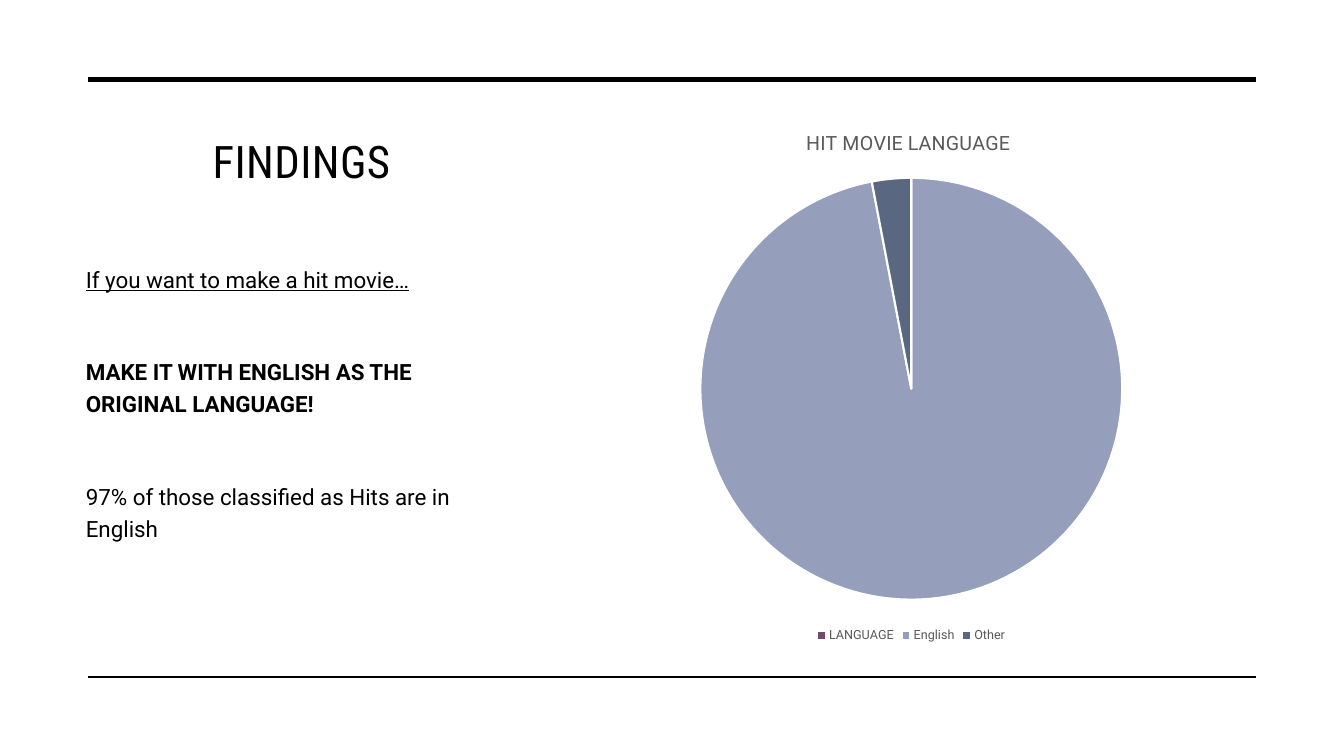
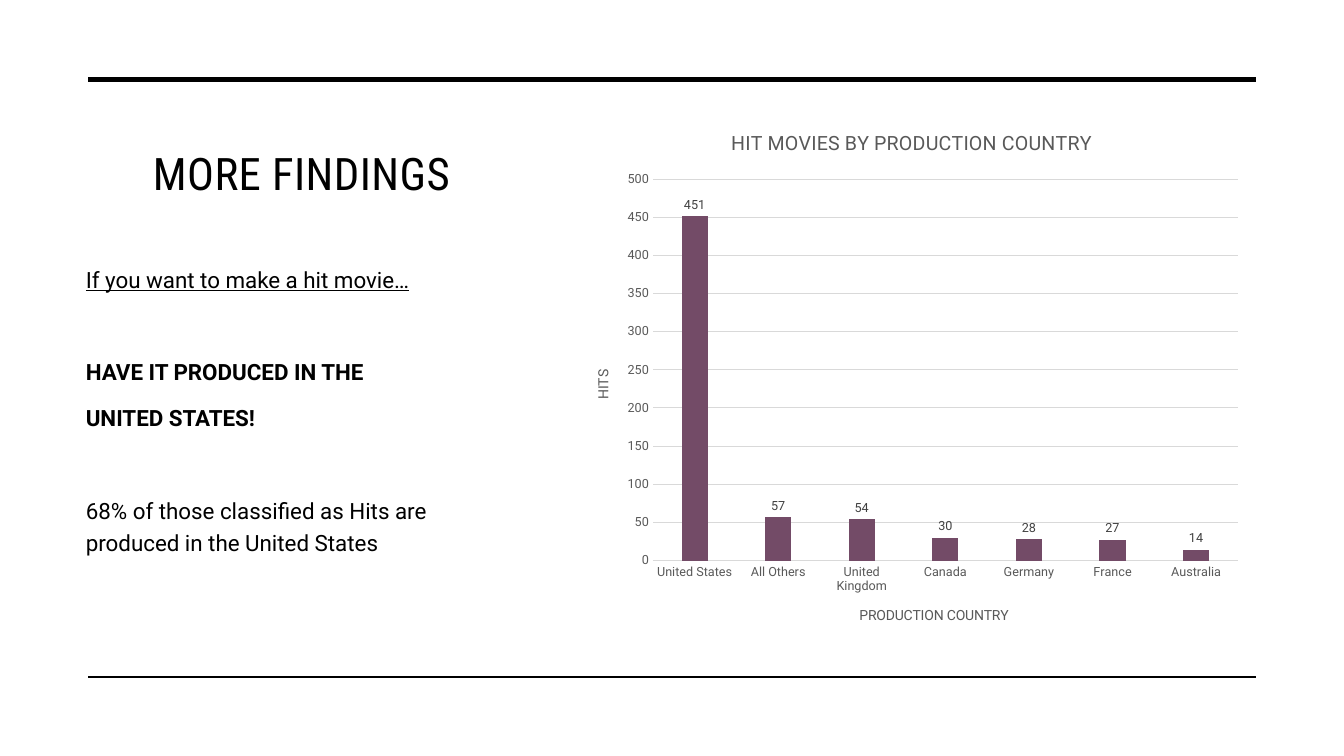
from lxml import etree
from pptx import Presentation
from pptx.chart.data import CategoryChartData
from pptx.dml.color import RGBColor
from pptx.enum.chart import (XL_CHART_TYPE as Chart, XL_LABEL_POSITION as LabelPos,
                             XL_LEGEND_POSITION as LegendPos, XL_TICK_MARK as Tick)
from pptx.enum.shapes import MSO_CONNECTOR as Connector
from pptx.enum.text import MSO_ANCHOR as Anchor, MSO_AUTO_SIZE as AutoSize, PP_ALIGN as Align
from pptx.oxml.ns import qn
from pptx.util import Pt

BLACK = RGBColor(0x00, 0x00, 0x00)
WHITE = RGBColor(0xFF, 0xFF, 0xFF)
DARK_GREY = RGBColor(0x40, 0x40, 0x40)
GREY = RGBColor(0x59, 0x59, 0x59)
LIGHT_GREY = RGBColor(0xD9, 0xD9, 0xD9)
PLUM = RGBColor(0x73, 0x4B, 0x67)
LAVENDER = RGBColor(0x95, 0x9E, 0xBB)
SLATE = RGBColor(0x59, 0x67, 0x81)

HEAD_FONT, BODY_FONT = "Roboto Condensed", "Roboto"
TITLE_ONLY = 5
TEXT_LEFT, TEXT_WIDTH = 54.2, 322.5
TOP = 78
RULE_LEFT, RULE_RIGHT = 63, 897
PARA_GAP, SECTION_GAP = 10, 43


def style_font(font, size, color, name=BODY_FONT, bold=False):
    font.size, font.name, font.bold = Pt(size), name, bold
    font.color.rgb = color


def set_layout(parent, index, inner=False, **fractions):
    """Place a chart part by fractions of the chart's width and height."""
    for old in parent.findall(qn("c:layout")):
        parent.remove(old)
    layout = etree.Element(qn("c:layout"))
    manual = etree.SubElement(layout, qn("c:manualLayout"))
    settings = {"layoutTarget": "inner"} if inner else {}
    settings.update(xMode="edge", yMode="edge", **fractions)
    for tag, value in settings.items():
        etree.SubElement(manual, qn(f"c:{tag}")).set("val", str(value))
    parent.insert(index, layout)


def chart_data(categories, *series):
    data = CategoryChartData()
    data.categories = categories
    for number, values in enumerate(series, 1):
        data.add_series(f"Series {number}", values)
    return data


def set_chart_title(title, text, size, x, y):
    tf = title.text_frame
    tf.text = text
    style_font(tf.paragraphs[0].runs[0].font, size, GREY)
    set_layout(title.element, 1, x=x, y=y)


class Deck:
    """Holds the shared style and the slide being built."""

    def __init__(self):
        self.prs = Presentation()
        self.prs.slide_width, self.prs.slide_height = Pt(960), Pt(540)
        self.s = None

    def new_slide(self, title, title_height):
        self.s = self.prs.slides.add_slide(self.prs.slide_layouts[TITLE_ONLY])
        self.rule(56.8, 3.5)
        self.rule(483.6, 1)
        self.title(title, title_height)

    def rule(self, y, width):
        line = self.s.shapes.add_connector(Connector.STRAIGHT, Pt(RULE_LEFT), Pt(y),
                                           Pt(RULE_RIGHT), Pt(y))
        line.line.color.rgb, line.line.width = BLACK, Pt(width)
        etree.SubElement(line.element.spPr, qn("a:effectLst"))

    def title(self, text, height):
        sp = self.s.shapes.title
        sp.left, sp.top, sp.width, sp.height = Pt(TEXT_LEFT), Pt(TOP), Pt(TEXT_WIDTH), Pt(height)
        tf = sp.text_frame
        tf.text = text
        tf.auto_size, tf.vertical_anchor = AutoSize.NONE, Anchor.BOTTOM
        p = tf.paragraphs[0]
        p.alignment = Align.CENTER
        style_font(p.runs[0].font, 32, BLACK, HEAD_FONT)
        for props in sp.element.iter(qn("a:rPr")):
            props.set("spc", "30")

    def advice(self, lead, calls, evidence):
        """Underlined lead, bold call to action, then the plain evidence."""
        sp = self.s.shapes.add_textbox(Pt(TEXT_LEFT), Pt(182.6), Pt(TEXT_WIDTH), Pt(280))
        tf = sp.text_frame
        tf.word_wrap = True
        lines = [lead, *calls, evidence]
        last = len(lines) - 1
        tf.text = "\n".join(lines)
        for i, p in enumerate(tf.paragraphs):
            p.line_spacing = 1.2
            p.space_before = Pt(SECTION_GAP if i in (1, last) else PARA_GAP)
            font = p.runs[0].font
            style_font(font, 16, BLACK, bold=0 < i < last)
            font.underline = i == 0

    def chart(self, kind, title, title_x, data, plot_box):
        chart = self.s.shapes.add_chart(kind, Pt(408), Pt(TOP), Pt(486), Pt(384), data).chart
        style_font(chart.font, 10, BLACK)
        chart.has_title = True
        chart.has_legend = False
        set_chart_title(chart.chart_title, title, 14, title_x, 0.03)
        x, y, w, h = plot_box
        plot_area = chart.element.find(".//" + qn("c:plotArea"))
        set_layout(plot_area, 0, inner=True, x=x, y=y, w=w, h=h)
        chart.plots[0].vary_by_categories = kind == Chart.PIE
        return chart

    def pie(self, title, title_x, data, colors):
        chart = self.chart(Chart.PIE, title, title_x, data, (0.19, 0.12, 0.62, 0.8))
        chart.replace_data(data)  # a new pie takes only the first series
        for series in chart.plots[0].series:
            for i, color in enumerate(colors):
                fmt = series.points[i].format
                fmt.fill.solid()
                fmt.fill.fore_color.rgb = color
                fmt.line.color.rgb, fmt.line.width = WHITE, Pt(1.5)
        chart.has_legend = True
        chart.legend.position = LegendPos.BOTTOM
        chart.legend.include_in_layout = False
        style_font(chart.legend.font, 9, GREY)

    def columns(self, title, title_x, data, category_title, value_title):
        chart = self.chart(Chart.COLUMN_CLUSTERED, title, title_x, data,
                           (0.12, 0.13, 0.86, 0.71))
        plot = chart.plots[0]
        plot.gap_width, plot.overlap = 219, -27
        fill = plot.series[0].format.fill
        fill.solid()
        fill.fore_color.rgb = PLUM

        plot.has_data_labels = True
        labels = plot.data_labels
        labels.show_value, labels.position = True, LabelPos.OUTSIDE_END
        style_font(labels.font, 9, DARK_GREY)

        cat, val = chart.category_axis, chart.value_axis
        for axis in (cat, val):
            axis.major_tick_mark = axis.minor_tick_mark = Tick.NONE
            style_font(axis.tick_labels.font, 9, GREY)
        val.minimum_scale, val.maximum_scale, val.major_unit = 0, 500, 50
        val.format.line.fill.background()
        for line in (cat.format.line, val.major_gridlines.format.line):
            line.color.rgb, line.width = LIGHT_GREY, Pt(0.75)

        set_chart_title(cat.axis_title, category_title, 10, 0.42, 0.92)
        set_chart_title(val.axis_title, value_title, 10, 0.03, 0.48)
        for body in val.axis_title.element.iter(qn("a:bodyPr")):
            body.set("rot", "-5400000")
            body.set("vert", "horz")


def main():
    deck = Deck()
    lead = "If you want to make a hit movie…"

    deck.new_slide("FINDINGS", 59.5)
    deck.advice(lead, ["MAKE IT WITH ENGLISH AS THE ORIGINAL LANGUAGE!"],
                "97% of those classified as Hits are in English")
    languages = chart_data(["LANGUAGE", "English", "Other"], [0, 97, 3], [None, 97, 3])
    deck.pie("HIT MOVIE LANGUAGE", 0.34, languages, [PLUM, LAVENDER, SLATE])

    deck.new_slide("MORE FINDINGS", 67.8)
    deck.advice(lead, ["HAVE IT PRODUCED IN THE", "UNITED STATES!"],
                "68% of those classified as Hits are produced in the United States")
    countries = chart_data(["United States", "All Others", "United Kingdom", "Canada",
                            "Germany", "France", "Australia"], [451, 57, 54, 30, 28, 27, 14])
    deck.columns("HIT MOVIES BY PRODUCTION COUNTRY", 0.23, countries,
                 "PRODUCTION COUNTRY", "HITS")

    deck.prs.save("out.pptx")


if __name__ == "__main__":
    main()
